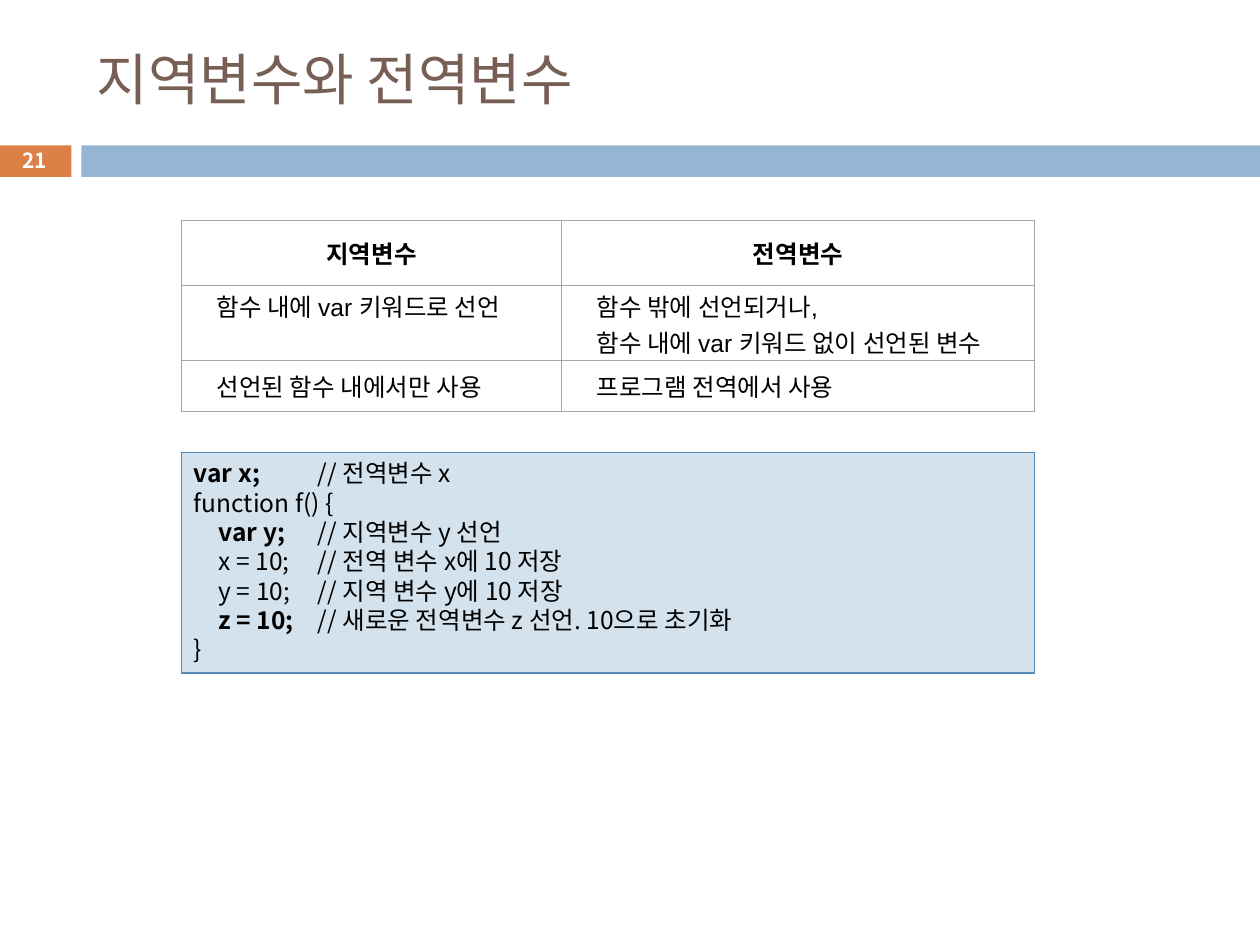
from lxml.etree import SubElement
from pptx import Presentation
from pptx.dml.color import RGBColor
from pptx.enum.shapes import MSO_SHAPE as Preset
from pptx.enum.text import MSO_ANCHOR as Anchor, PP_ALIGN as Align
from pptx.oxml.ns import qn
from pptx.util import Cm, Pt

ORANGE = RGBColor(0xDD, 0x80, 0x47)
BLUE = RGBColor(0x94, 0xB6, 0xD2)
PALE_BLUE = RGBColor(0xD4, 0xE2, 0xED)
EDGE_BLUE = RGBColor(0x55, 0x8B, 0xB8)
BROWN = RGBColor(0x77, 0x5F, 0x55)
GRAY = RGBColor(0xA6, 0xA6, 0xA6)
BLACK = RGBColor(0, 0, 0)
WHITE = RGBColor(0xFF, 0xFF, 0xFF)

KOREAN_FONT = "Noto Sans CJK KR"
TITLE = {"name": KOREAN_FONT, "size": Pt(32), "color": BROWN}
NUMBER = {"name": KOREAN_FONT, "size": Pt(11.9), "color": WHITE, "bold": True}
CODE = {"name": KOREAN_FONT, "size": Pt(14), "color": BLACK, "bold": False}
CELL = {**CODE, "name": "Arial"}

TABLE_ROWS = [
    (["지역변수"], ["전역변수"]),
    (["함수 내에 var 키워드로 선언"],
     ["함수 밖에 선언되거나,", "함수 내에 var 키워드 없이 선언된 변수"]),
    (["선언된 함수 내에서만 사용"], ["프로그램 전역에서 사용"]),
]
CODE_LINES = [
    ("", "var x;", True, "// 전역변수 x"),
    ("", "function f() {", False, ""),
    ("\t", "var y;", True, "// 지역변수 y 선언"),
    ("\t", "x = 10;", False, "// 전역 변수 x에 10 저장"),
    ("\t", "y = 10;", False, "// 지역 변수 y에 10 저장"),
    ("\t", "z = 10;", True, "// 새로운 전역변수 z 선언. 10으로 초기화"),
    ("", "}", False, ""),
]


def add_run(paragraph, text, formats):
    run = paragraph.add_run()
    run.text = text
    for name, value in formats.items():
        if name == "color":
            run.font.color.rgb = value
        else:
            setattr(run.font, name, value)
    SubElement(run.font._element, qn("a:ea"), typeface=KOREAN_FONT)


def add_paragraphs(frame, count):
    return [frame.paragraphs[0]] + [frame.add_paragraph() for _ in range(count - 1)]


def add_box(slide, left, top, width, height, fill, line=None):
    shape = slide.shapes.add_shape(
        Preset.RECTANGLE, Cm(left), Cm(top), Cm(width), Cm(height))
    shape.shadow.inherit = False
    shape.fill.solid()
    shape.fill.fore_color.rgb = fill
    if line is None:
        shape.line.fill.background()
    else:
        shape.line.color.rgb = line
        shape.line.width = Pt(0.75)
    return shape


def add_label(slide, left, top, width, height, text, formats, align):
    label = slide.shapes.add_textbox(Cm(left), Cm(top), Cm(width), Cm(height))
    frame = label.text_frame
    frame.word_wrap = True
    frame.vertical_anchor = Anchor.MIDDLE
    frame.paragraphs[0].alignment = align
    add_run(frame.paragraphs[0], text, formats)


def add_header(slide, left, top, width):
    bar_top, bar_height = top + 2.29, 0.64
    number_width, gap = 1.47, 0.2
    bar_left = left + number_width + gap
    add_box(slide, left, bar_top, number_width, bar_height, ORANGE)
    add_box(slide, bar_left, bar_top, width - number_width - gap, bar_height, BLUE)
    add_label(slide, bar_left + 0.06, top, 22.66, 1.88,
              "지역변수와 전역변수", TITLE, Align.LEFT)
    add_label(slide, left, bar_top - 0.05, number_width, bar_height + 0.05,
              "21", NUMBER, Align.CENTER)


def add_borders(cell):
    properties = cell._tc.get_or_add_tcPr()
    for side in ("lnL", "lnR", "lnT", "lnB"):
        border = SubElement(properties, qn(f"a:{side}"), w=str(Pt(0.5)))
        fill = SubElement(border, qn("a:solidFill"))
        SubElement(fill, qn("a:srgbClr"), val=str(GRAY))


def fill_cell(cell, lines, is_header):
    add_borders(cell)
    cell.fill.background()
    formats = {
        "margin_left": Cm(0.18), "margin_right": Cm(0.18),
        "margin_top": Cm(0.05), "margin_bottom": Cm(0.05),
        "vertical_anchor": Anchor.TOP if len(TABLE_ROWS[1]) == len(lines) else Anchor.MIDDLE,
    }
    for name, value in formats.items():
        setattr(cell, name, value)
    for paragraph, line in zip(add_paragraphs(cell.text_frame, len(lines)), lines):
        if is_header:
            paragraph.alignment = Align.CENTER
        else:
            paragraph._p.get_or_add_pPr().set("marL", str(Cm(0.53)))
        add_run(paragraph, line, {**CELL, "bold": is_header})


def add_scope_table(slide, left, top, width):
    row_heights = (1.3, 1.52, 1.02)
    first_width = 7.66
    column_widths = (first_width, width - first_width)
    table = slide.shapes.add_table(
        len(row_heights), len(column_widths),
        Cm(left), Cm(top), Cm(width), Cm(sum(row_heights))).table
    table.first_row = table.horz_banding = False
    for column, column_width in zip(table.columns, column_widths):
        column.width = Cm(column_width)
    for index, (row, texts) in enumerate(zip(table.rows, TABLE_ROWS)):
        row.height = Cm(row_heights[index])
        for cell, lines in zip(row.cells, texts):
            fill_cell(cell, lines, index == 0)
    table.cell(1, 0).vertical_anchor = Anchor.TOP


def add_code(slide, left, top, width, height):
    frame = add_box(slide, left, top, width, height, PALE_BLUE, EDGE_BLUE).text_frame
    frame.word_wrap = True
    frame.vertical_anchor = Anchor.TOP
    paragraphs = add_paragraphs(frame, len(CODE_LINES))
    for paragraph, (indent, code, bold, comment) in zip(paragraphs, CODE_LINES):
        paragraph.alignment = Align.LEFT
        paragraph.line_spacing = Pt(16.75)
        tabs = SubElement(paragraph._p.get_or_add_pPr(), qn("a:tabLst"))
        for position in (0.5, 2.5):
            SubElement(tabs, qn("a:tab"), pos=str(Cm(position)), algn="l")
        add_run(paragraph, indent + code, {**CODE, "bold": bold})
        if comment:
            add_run(paragraph, "\t" + comment, CODE)


def main():
    presentation = Presentation()
    presentation.slide_width = Cm(25.4)
    presentation.slide_height = Cm(19.05)
    slide = presentation.slides.add_slide(presentation.slide_layouts[6])
    add_header(slide, -0.03, 0.64, 25.43)
    add_code(slide, 3.66, 9.12, 17.2, 4.45)
    add_scope_table(slide, 3.66, 4.45, 17.2)
    presentation.save("out.pptx")


if __name__ == "__main__":
    main()
